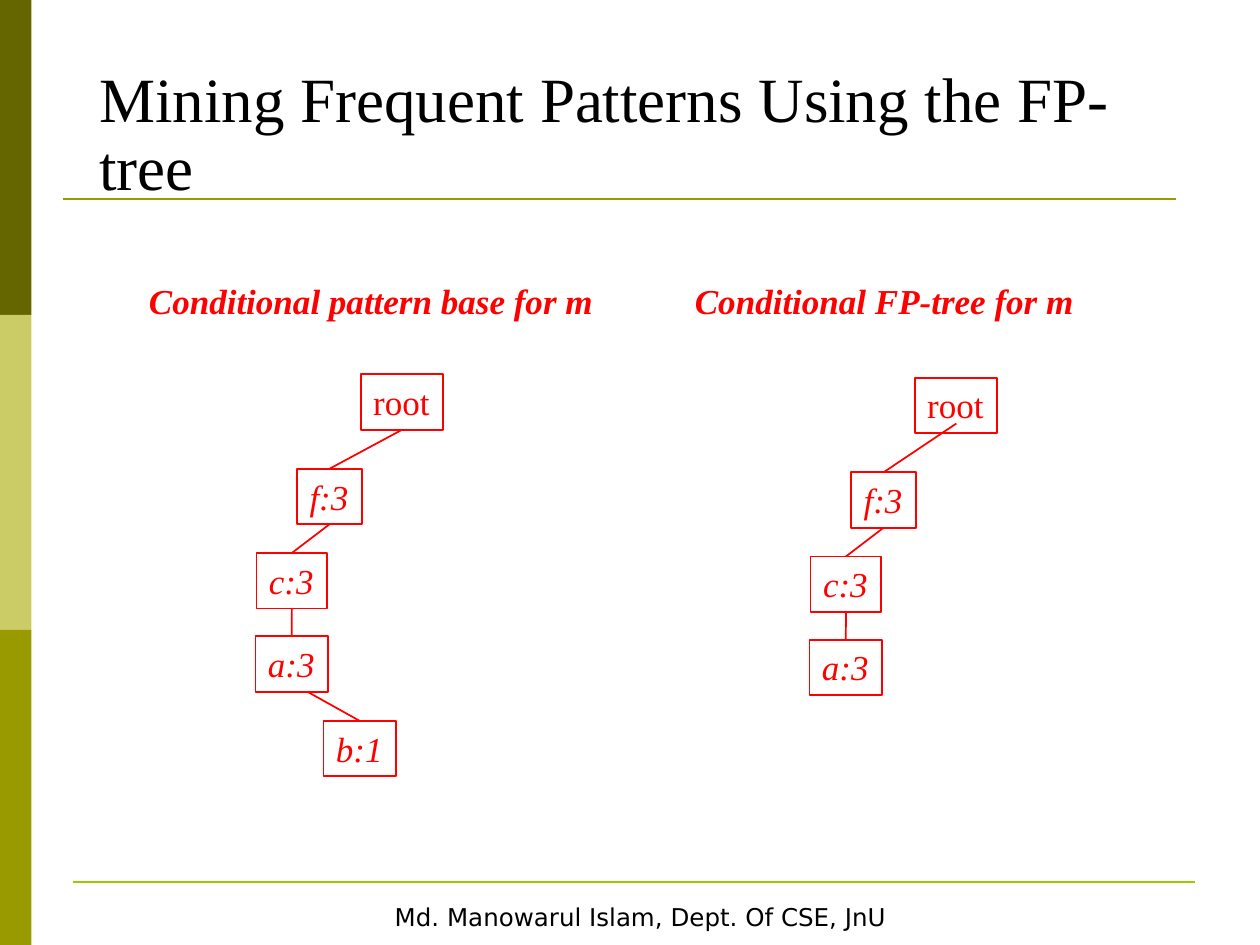
from pptx import Presentation
from pptx.dml.color import RGBColor
from pptx.enum.shapes import MSO_CONNECTOR, MSO_SHAPE
from pptx.enum.text import MSO_ANCHOR, MSO_AUTO_SIZE, PP_ALIGN
from pptx.oxml.ns import qn
from pptx.util import Pt

BLACK = RGBColor(0x00, 0x00, 0x00)
WHITE = RGBColor(0xFF, 0xFF, 0xFF)
RED = RGBColor(0xFF, 0x00, 0x00)
DARK_OLIVE = RGBColor(0x66, 0x66, 0x00)
PALE_OLIVE = RGBColor(0xCC, 0xCC, 0x66)
OLIVE = RGBColor(0x99, 0x99, 0x00)
GREEN = RGBColor(0x98, 0xCC, 0x00)

SERIF = "Times New Roman"
TITLE_FORMAT = {"name": SERIF, "size": Pt(36)}
HEADING_FORMAT = {"name": SERIF, "size": Pt(20), "bold": True, "italic": True}
ROOT_FORMAT = {"name": SERIF, "size": Pt(20)}
NODE_FORMAT = {**ROOT_FORMAT, "italic": True}
FOOTER_FORMAT = {"name": "DejaVu Sans", "size": Pt(14)}

NODE_HEIGHT = 31.7
TOP, BOTTOM = 0, 2
NODES = {
    "root": (206.2, 213.9, 47),
    "f:3": (169.8, 267.9, 37),
    "c:3": (146.6, 316, 40.4),
    "a:3": (146, 363.6, 41.5),
    "b:1": (184.9, 412, 41.5),
}


def write_text(shape, text, font_format, color, **frame_format):
    frame = shape.text_frame
    for name, value in frame_format.items():
        setattr(frame, name, value)
    paragraph = frame.paragraphs[0]
    paragraph.alignment = PP_ALIGN.LEFT
    run = paragraph.add_run()
    run.text = text
    for name, value in font_format.items():
        setattr(run.font, name, value)
    run.font.color.rgb = color
    return paragraph


def add_text(slide, box, text, font_format, color, **frame_format):
    shape = slide.shapes.add_textbox(*map(Pt, box))
    return write_text(shape, text, font_format, color, word_wrap=True, **frame_format)


def add_rectangle(slide, box, fill=None, line=None, weight=1):
    shape = slide.shapes.add_shape(MSO_SHAPE.RECTANGLE, *map(Pt, box))
    shape.shadow.inherit = False
    if fill is None:
        shape.fill.background()
    else:
        shape.fill.solid()
        shape.fill.fore_color.rgb = fill
    if line is None:
        shape.line.fill.background()
    else:
        shape.line.color.rgb = line
        shape.line.width = Pt(weight)
    return shape


def add_line(slide, ends, color, weight):
    connector = slide.shapes.add_connector(MSO_CONNECTOR.STRAIGHT, *map(Pt, ends))
    connector.line.color.rgb = color
    connector.line.width = Pt(weight)
    properties = connector._element.spPr
    properties.append(properties.makeelement(qn("a:effectLst"), {}))
    return connector


def add_node(slide, label, left, top):
    x, y, width = NODES[label]
    shape = add_rectangle(slide, (left + x, top + y, width, NODE_HEIGHT), line=RED)
    font_format = ROOT_FORMAT if label == "root" else NODE_FORMAT
    write_text(shape, label, font_format, RED, word_wrap=False,
               auto_size=MSO_AUTO_SIZE.SHAPE_TO_FIT_TEXT,
               vertical_anchor=MSO_ANCHOR.TOP)
    return shape


def add_edge(slide, parent, child, start=None):
    edge = add_line(slide, (*(start or (0, 0)), 0, 0), RED, 1)
    if start is None:
        edge.begin_connect(parent, BOTTOM)
    edge.end_connect(child, TOP)


def add_tree(slide, labels, left, top, loose_starts):
    shapes = [add_node(slide, label, left, top) for label in labels]
    for label, parent, child in zip(labels, shapes, shapes[1:]):
        add_edge(slide, parent, child, loose_starts.get(label))


def add_frame(slide):
    for index, color in enumerate((DARK_OLIVE, PALE_OLIVE, OLIVE)):
        add_rectangle(slide, (0, index * 180, 18, 180), fill=color)
    add_line(slide, (36, 113.8, 672, 113.8), OLIVE, 1.5)
    add_line(slide, (42, 504, 682.6, 504), GREEN, 1.5)
    footer = add_rectangle(slide, (36, 511.2, 660, 25.2), WHITE, WHITE, 2)
    paragraph = write_text(footer, "Md. Manowarul Islam, Dept. Of CSE, JnU",
                           FOOTER_FORMAT, BLACK, word_wrap=False,
                           vertical_anchor=MSO_ANCHOR.MIDDLE)
    paragraph.alignment = PP_ALIGN.CENTER


def main():
    presentation = Presentation()
    presentation.slide_width, presentation.slide_height = Pt(720), Pt(540)
    slide = presentation.slides.add_slide(presentation.slide_layouts[6])
    add_frame(slide)
    title = add_text(slide, (49.7, 36, 642.2, 84.2),
                     "Mining Frequent Patterns Using the FP-tree",
                     TITLE_FORMAT, BLACK, vertical_anchor=MSO_ANCHOR.BOTTOM)
    title.line_spacing = 0.9
    for left, text in ((78, "Conditional pattern base for m"),
                       (390, "Conditional FP-tree for m")):
        add_text(slide, (left, 156.2, 300, NODE_HEIGHT), text, HEADING_FORMAT, RED)
    labels = list(NODES)
    add_tree(slide, labels, 0, 0, {"a:3": (175.7, 395.3)})
    add_tree(slide, labels[:-1], 316.6, 2, {"root": (546.5, 242)})
    presentation.save("out.pptx")


if __name__ == "__main__":
    main()
